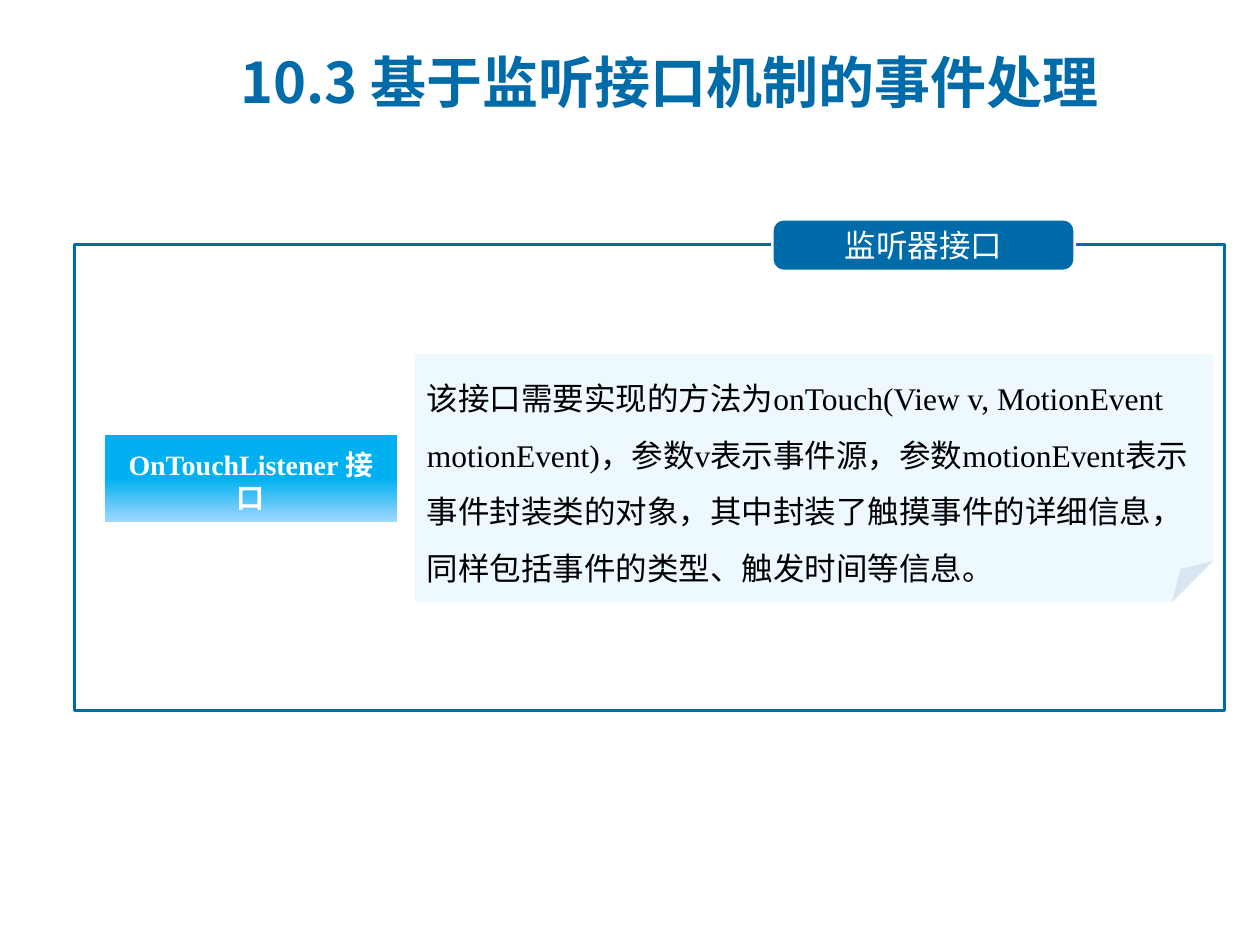
from dataclasses import dataclass
from typing import Optional

import lxml.etree
import pptx
import pptx.dml.color
import pptx.enum.shapes
import pptx.enum.text
import pptx.oxml.ns
import pptx.util

Inches = pptx.util.Inches
Shapes = pptx.enum.shapes.MSO_SHAPE
Anchor = pptx.enum.text.MSO_ANCHOR
Align = pptx.enum.text.PP_ALIGN
BLUE = "006BA9"
WHITE = "FFFFFF"
CJK_FONT = "Noto Sans CJK SC"
LATIN_FONT = "Times New Roman"


@dataclass
class Label:
    text: str
    size: int
    color: str
    font: str = CJK_FONT
    bold: bool = False
    align: Align = Align.LEFT
    anchor: Anchor = Anchor.MIDDLE
    line_spacing: Optional[float] = None
    side_inset: float = 0.1
    top_inset: float = 0.05


@dataclass
class Panel:
    kind: Shapes
    left: float
    top: float
    width: float
    height: float
    fill: Optional[str] = None
    line: Optional[str] = None
    label: Optional[Label] = None


def rgb(color: str) -> pptx.dml.color.RGBColor:
    """Turn a hex string into a colour."""
    return pptx.dml.color.RGBColor.from_string(color)


def write_label(shape, label: Label) -> None:
    """Put formatted text into a shape."""
    frame = shape.text_frame
    frame.word_wrap = True
    frame.vertical_anchor = label.anchor
    frame.margin_left = frame.margin_right = Inches(label.side_inset)
    frame.margin_top = Inches(label.top_inset)
    frame.text = label.text
    paragraph = frame.paragraphs[0]
    paragraph.alignment = label.align
    paragraph.line_spacing = label.line_spacing
    font = paragraph.runs[0].font
    font.size = pptx.util.Pt(label.size)
    font.bold = label.bold
    font.name = label.font
    font.color.rgb = rgb(label.color)
    properties = paragraph.runs[0]._r.get_or_add_rPr()
    east_asian = lxml.etree.SubElement(properties, pptx.oxml.ns.qn("a:ea"))
    east_asian.set("typeface", CJK_FONT)


def draw_panel(slide, panel: Panel):
    """Draw a preset shape with its fill, outline and text."""
    box = map(Inches, (panel.left, panel.top, panel.width, panel.height))
    shape = slide.shapes.add_shape(panel.kind, *box)
    shape.shadow.inherit = False
    if panel.fill:
        shape.fill.solid()
        shape.fill.fore_color.rgb = rgb(panel.fill)
    else:
        shape.fill.background()
    if panel.line:
        shape.line.color.rgb = rgb(panel.line)
        shape.line.width = pptx.util.Pt(1.5)
    else:
        shape.line.fill.background()
    if panel.label:
        write_label(shape, panel.label)
    return shape


def draw_title(slide, label: Label) -> None:
    """Draw the slide title with a hanging indent."""
    box = map(Inches, (1.81, 0.22, 7.13, 0.84))
    shape = slide.shapes.add_textbox(*box)
    write_label(shape, label)
    properties = shape.text_frame.paragraphs[0]._p.get_or_add_pPr()
    properties.set("marL", str(Inches(0.62)))
    properties.set("indent", str(-Inches(0.62)))


def shade_downwards(shape, top: str, bottom: str) -> None:
    """Keep the upper half plain and fade the lower half."""
    shape.fill.gradient()
    shape.fill.gradient_angle = 270
    for stop, position, color in zip(shape.fill.gradient_stops, (0.5, 1), (top, bottom)):
        stop.position = position
        stop.color.rgb = rgb(color)


def set_opacity(shape, percent: int) -> None:
    """Make a solid fill partly transparent."""
    color = shape._element.spPr.find(".//" + pptx.oxml.ns.qn("a:srgbClr"))
    alpha = lxml.etree.SubElement(color, pptx.oxml.ns.qn("a:alpha"))
    alpha.set("val", str(percent * 1000))


def main() -> None:
    """Build the slide and save it."""
    presentation = pptx.Presentation()
    presentation.slide_width = Inches(10)
    presentation.slide_height = Inches(7.5)
    slide = presentation.slides.add_slide(presentation.slide_layouts[6])

    draw_panel(slide, Panel(Shapes.RECTANGLE, 0.59, 1.94, 9.13, 3.7, line=BLUE))
    heading = Label("监听器接口", 18, WHITE, align=Align.CENTER, side_inset=0.24)
    tab = draw_panel(
        slide,
        Panel(Shapes.ROUNDED_RECTANGLE, 6.13, 1.74, 2.4, 0.41, BLUE, WHITE, heading),
    )
    tab.adjustments[0] = 0.22
    draw_title(slide, Label("10.3 基于监听接口机制的事件处理", 32, BLUE, bold=True))

    name = Label(
        "OnTouchListener 接口", 16, WHITE, LATIN_FONT, True,
        Align.CENTER, Anchor.TOP, top_inset=0.1,
    )
    button = draw_panel(
        slide, Panel(Shapes.RECTANGLE, 0.83, 3.45, 2.32, 0.69, label=name)
    )
    shade_downwards(button, "00B0F0", "9FD8FF")

    description = Label(
        "该接口需要实现的方法为onTouch(View v, MotionEvent motionEvent)，"
        "参数v表示事件源，参数motionEvent表示事件封装类的对象，"
        "其中封装了触摸事件的详细信息，同样包括事件的类型、触发时间等信息。",
        18, "000000", LATIN_FONT, anchor=Anchor.TOP, line_spacing=1.5,
    )
    note = draw_panel(
        slide,
        Panel(Shapes.FOLDED_CORNER, 3.29, 2.81, 6.34, 1.97, "C5E8FF", label=description),
    )
    set_opacity(note, 28)

    presentation.save("out.pptx")


if __name__ == "__main__":
    main()
